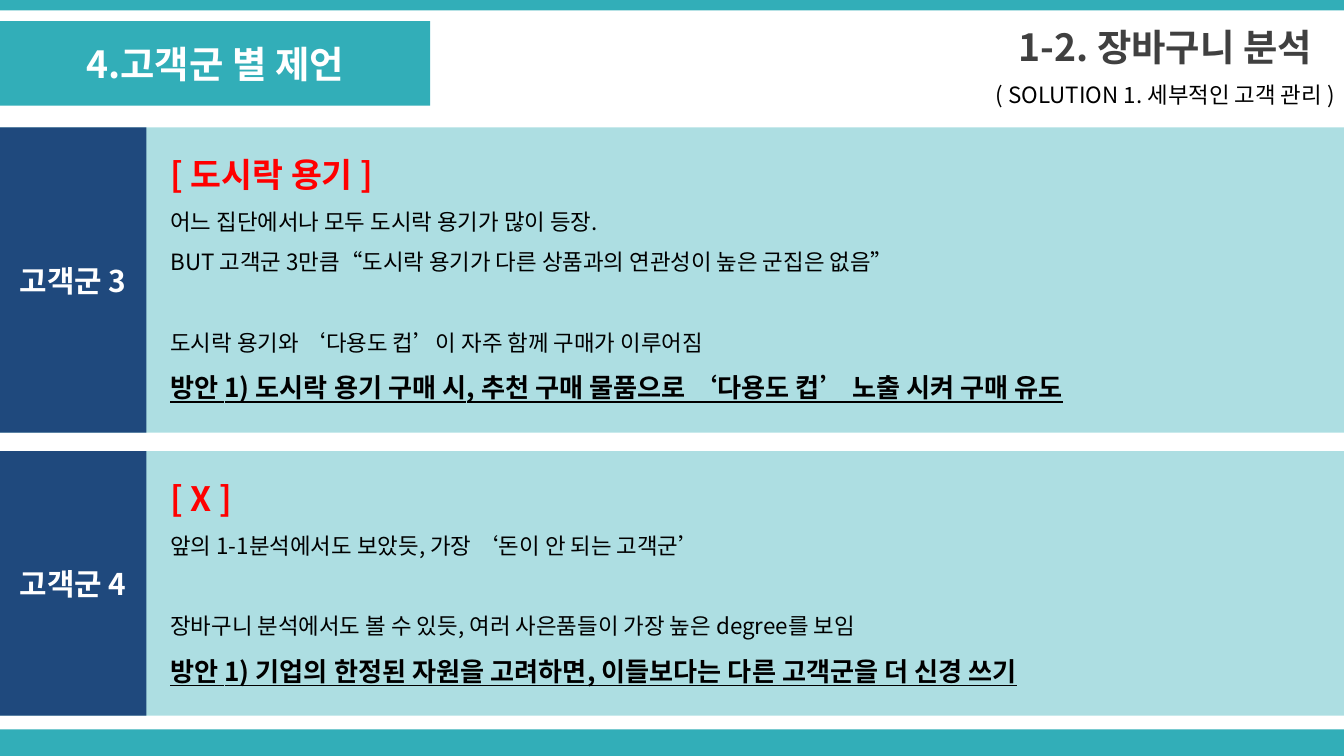
import pptx
import pptx.util
import pptx.dml.color
import pptx.enum.shapes
import pptx.enum.text
import pptx.oxml.ns
from lxml import etree

Cm = pptx.util.Cm
Pt = pptx.util.Pt
RGB = pptx.dml.color.RGBColor
ALIGN = pptx.enum.text.PP_ALIGN
MIDDLE = pptx.enum.text.MSO_ANCHOR.MIDDLE

TEAL = RGB(0x32, 0xAE, 0xB8)
NAVY = RGB(0x1F, 0x49, 0x7D)
WHITE = RGB(0xFF, 0xFF, 0xFF)
BLACK = RGB(0, 0, 0)
RED = RGB(0xFF, 0, 0)
GREY = RGB(0x40, 0x40, 0x40)

FACE = "Noto Sans CJK KR"
WIDTH = 25.4
GAP = 21.7  # height of one skipped line, in points

# Text formats
HEAD = {"size": Pt(18), "bold": True, "color": RED}
BODY = {"size": Pt(12), "bold": False, "color": BLACK}
PLAN = {"size": Pt(14), "bold": True, "underline": True, "color": BLACK}
TITLE = {"size": Pt(20), "bold": True, "color": WHITE}
LABEL = {"size": Pt(16), "bold": True, "color": WHITE}
TOPIC = {"size": Pt(20), "bold": True, "color": GREY}

# Panels: label, top, height, lines of (text, format, space before)
PANELS = [
    ("고객군 3", 2.41, 5.77, [
        ("[ 도시락 용기 ]", HEAD, 0),
        ("어느 집단에서나 모두 도시락 용기가 많이 등장.", BODY, 0),
        ("BUT 고객군 3만큼“도시락 용기가 다른 상품과의 연관성이 높은 군집은 없음”", BODY, 0),
        ("도시락 용기와 ‘다용도 컵’이 자주 함께 구매가 이루어짐", BODY, GAP),
        ("방안 1) 도시락 용기 구매 시, 추천 구매 물품으로 ‘다용도 컵’ 노출 시켜 구매 유도", PLAN, 0),
    ]),
    ("고객군 4", 8.53, 5, [
        ("[ X ]", HEAD, 0),
        ("앞의 1-1분석에서도 보았듯, 가장 ‘돈이 안 되는 고객군’", BODY, 0),
        ("장바구니 분석에서도 볼 수 있듯, 여러 사은품들이 가장 높은 degree를 보임", BODY, GAP),
        ("방안 1) 기업의 한정된 자원을 고려하면, 이들보다는 다른 고객군을 더 신경 쓰기", PLAN, 0),
    ]),
]


def write(para, text, form):
    """Add one run and apply its format."""
    run = para.add_run()
    run.text = text
    run.font.name = FACE
    for key, value in form.items():
        if key == "color":
            run.font.color.rgb = value
        else:
            setattr(run.font, key, value)
    east = etree.SubElement(run.font._element, pptx.oxml.ns.qn("a:ea"))
    east.set("typeface", FACE)


def center(shape, text, form):
    """Put one centred line in a shape."""
    frame = shape.text_frame
    frame.word_wrap = True
    frame.vertical_anchor = MIDDLE
    para = frame.paragraphs[0]
    para.alignment = ALIGN.CENTER
    write(para, text, form)


def block(slide, left, top, width, height, color, alpha=None):
    """Draw a plain filled rectangle."""
    shape = slide.shapes.add_shape(
        pptx.enum.shapes.MSO_SHAPE.RECTANGLE,
        Cm(left), Cm(top), Cm(width), Cm(height))
    shape.shadow.inherit = False
    shape.line.fill.background()
    shape.fill.solid()
    shape.fill.fore_color.rgb = color
    if alpha:
        tint = shape._element.spPr.find(".//" + pptx.oxml.ns.qn("a:srgbClr"))
        etree.SubElement(tint, pptx.oxml.ns.qn("a:alpha")).set("val", str(alpha * 1000))
    return shape


def textbox(slide, left, top, width, height):
    box = slide.shapes.add_textbox(Cm(left), Cm(top), Cm(width), Cm(height))
    box.text_frame.word_wrap = True
    return box


def panel(slide, label, top, height, lines):
    """Draw a tinted band with its label and its lines."""
    block(slide, 0, top, WIDTH, height, TEAL, 40)
    center(block(slide, 0, top, 2.77, height, NAVY), label, LABEL)
    frame = textbox(slide, 2.97, top, 22.43, height - 0.38).text_frame
    for i, (text, form, gap) in enumerate(lines):
        para = frame.add_paragraph() if i else frame.paragraphs[0]
        para.line_spacing = 1.5
        if gap:
            para.space_before = Pt(gap)
        write(para, text, form)


def main():
    deck = pptx.Presentation()
    deck.slide_width = Cm(WIDTH)
    deck.slide_height = Cm(14.29)
    slide = deck.slides.add_slide(deck.slide_layouts[6])

    # Edge bars
    block(slide, 0, 13.79, WIDTH, 0.5, TEAL)
    block(slide, 0, 0, WIDTH, 0.2, TEAL)

    # Heading
    center(block(slide, 0, 0.4, 8.13, 1.6, TEAL), "4.고객군 별 제언", TITLE)
    center(textbox(slide, 17.86, 0.36, 8.33, 1.04), "1-2. 장바구니 분석", TOPIC)
    center(textbox(slide, 17.86, 1.4, 8.33, 0.79),
           "( SOLUTION 1. 세부적인 고객 관리 )", BODY)

    # Customer groups
    for item in PANELS:
        panel(slide, *item)

    deck.save("out.pptx")


if __name__ == "__main__":
    main()
